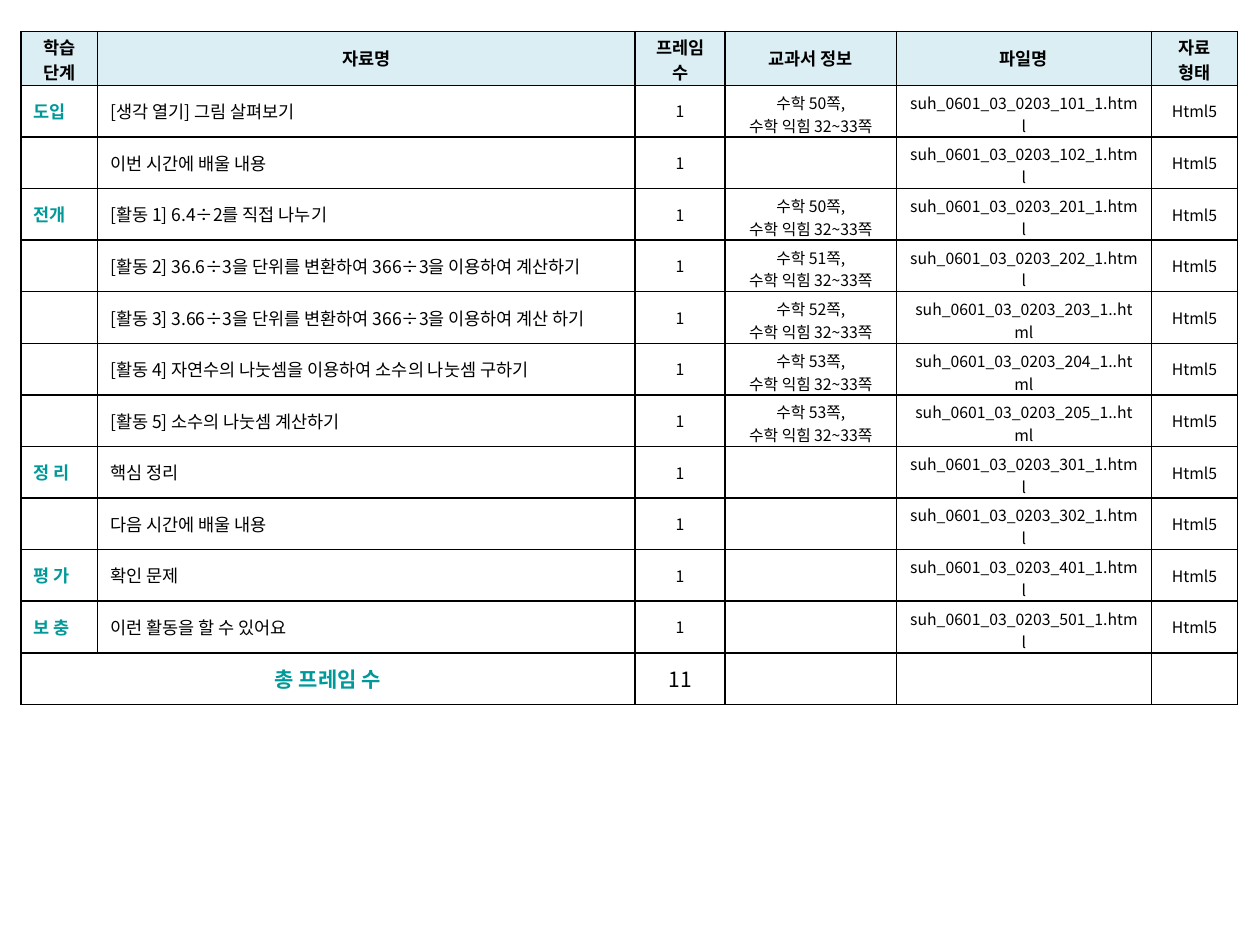
from dataclasses import dataclass

import lxml.etree
import pptx
import pptx.dml.color
import pptx.enum.text
import pptx.oxml.ns
import pptx.table
import pptx.util

Cm, Pt = pptx.util.Cm, pptx.util.Pt
ALIGN = pptx.enum.text.PP_ALIGN
FONT = "Noto Sans CJK KR"
BLACK, WHITE, TEAL, PALE_BLUE = "000000", "FFFFFF", "009999", "DBEEF4"

COLUMN_WIDTHS = [1.55, 10.83, 1.82, 3.45, 5.14, 1.74]
HEADER_HEIGHT, ROW_HEIGHT = 1.09, 1.04
HEADERS = ["학습 단계", "자료명", "프레임 수", "교과서 정보", "파일명", "자료\n형태"]


@dataclass
class Material:
    stage: str
    title: str
    page_number: str
    file_code: str

    def texts(self) -> list[str]:
        textbook = f"수학 {self.page_number}쪽,\n수학 익힘 32~33쪽" if self.page_number else ""
        file_name = f"suh_0601_03_0203_{self.file_code}.html"
        return [self.stage, self.title, "1", textbook, file_name, "Html5"]


@dataclass
class CellStyle:
    size: float = 9
    bold: bool = False
    color: str = BLACK
    align: ALIGN = ALIGN.CENTER
    fill: str = WHITE
    top: float = 0.13
    bottom: float = 0.13


HEADER = CellStyle(10, True, fill=PALE_BLUE)
TWO_LINE_HEADER = CellStyle(10, True, fill=PALE_BLUE, top=0.06, bottom=0)
STAGE = CellStyle(10, True, TEAL, ALIGN.JUSTIFY)
TITLE = CellStyle(10, align=ALIGN.LEFT)
DETAIL = CellStyle()
TWO_LINE_DETAIL = CellStyle(top=0.11, bottom=0)
TOTAL_LABEL = CellStyle(12, True, TEAL)
TOTAL = CellStyle(12)
HEADER_STYLES = [TWO_LINE_HEADER, HEADER, TWO_LINE_HEADER, HEADER, HEADER, TWO_LINE_HEADER]
ROW_STYLES = [STAGE, TITLE, DETAIL, TWO_LINE_DETAIL, TWO_LINE_DETAIL, DETAIL]
TOTAL_STYLES = [TOTAL_LABEL, DETAIL, TOTAL, DETAIL, DETAIL, DETAIL]

MATERIALS = [
    Material("도입", "[생각 열기] 그림 살펴보기", "50", "101_1"),
    Material("", "이번 시간에 배울 내용", "", "102_1"),
    Material("전개", "[활동 1] 6.4÷2를 직접 나누기", "50", "201_1"),
    Material("", "[활동 2] 36.6÷3을 단위를 변환하여 366÷3을 이용하여 계산하기", "51", "202_1"),
    Material("", "[활동 3] 3.66÷3을 단위를 변환하여 366÷3을 이용하여 계산 하기", "52", "203_1."),
    Material("", "[활동 4] 자연수의 나눗셈을 이용하여 소수의 나눗셈 구하기", "53", "204_1."),
    Material("", "[활동 5] 소수의 나눗셈 계산하기", "53", "205_1."),
    Material("정 리", "핵심 정리", "", "301_1"),
    Material("", "다음 시간에 배울 내용", "", "302_1"),
    Material("평 가", "확인 문제", "", "401_1"),
    Material("보 충", "이런 활동을 할 수 있어요", "", "501_1"),
]


def rgb(color: str) -> pptx.dml.color.RGBColor:
    return pptx.dml.color.RGBColor.from_string(color)


def add_element(parent, tag: str, **attributes: str):
    return lxml.etree.SubElement(parent, pptx.oxml.ns.qn(tag), attributes)


def add_borders(cell: pptx.table._Cell) -> None:
    """Draw a 1 pt black line on each side; must come before the cell's fill."""
    properties = cell._tc.get_or_add_tcPr()
    for side in ("a:lnL", "a:lnR", "a:lnT", "a:lnB"):
        line = add_element(properties, side, w=str(Pt(1)))
        add_element(add_element(line, "a:solidFill"), "a:srgbClr", val=BLACK)


def write_cell(cell: pptx.table._Cell, text: str, style: CellStyle) -> None:
    add_borders(cell)
    cell.fill.solid()
    cell.fill.fore_color.rgb = rgb(style.fill)
    cell.vertical_anchor = pptx.enum.text.MSO_ANCHOR.MIDDLE
    cell.margin_top, cell.margin_bottom = Cm(style.top), Cm(style.bottom)
    font_values = {"name": FONT, "size": Pt(style.size), "bold": style.bold}
    for index, line in enumerate(text.split("\n")):
        frame = cell.text_frame
        para = frame.add_paragraph() if index else frame.paragraphs[0]
        para.alignment = style.align
        span = para.add_run()
        span.text = line
        for name, value in font_values.items():
            setattr(span.font, name, value)
        span.font.color.rgb = rgb(style.color)
        add_element(span.font._element, "a:ea", typeface=FONT)


def main() -> None:
    deck = pptx.Presentation()
    deck.slide_width, deck.slide_height = Cm(25.4), Cm(19.05)
    page = deck.slides.add_slide(deck.slide_layouts[6])

    rows = [(HEADERS, HEADER_STYLES)]
    rows += [(material.texts(), ROW_STYLES) for material in MATERIALS]
    rows.append((["총 프레임 수", "", str(len(MATERIALS)), "", "", ""], TOTAL_STYLES))

    heights = [HEADER_HEIGHT] + [ROW_HEIGHT] * (len(rows) - 1)
    table = page.shapes.add_table(
        len(rows), len(COLUMN_WIDTHS), Cm(0.42), Cm(0.63),
        Cm(sum(COLUMN_WIDTHS)), Cm(sum(heights))).table
    table.first_row = table.horz_banding = False
    for column, width in zip(table.columns, COLUMN_WIDTHS):
        column.width = Cm(width)
    for row, height, (texts, styles) in zip(table.rows, heights, rows):
        row.height = Cm(height)
        for cell, text, style in zip(row.cells, texts, styles):
            write_cell(cell, text, style)
    last = len(rows) - 1
    table.cell(last, 0).merge(table.cell(last, 1))

    deck.save("out.pptx")


if __name__ == "__main__":
    main()
